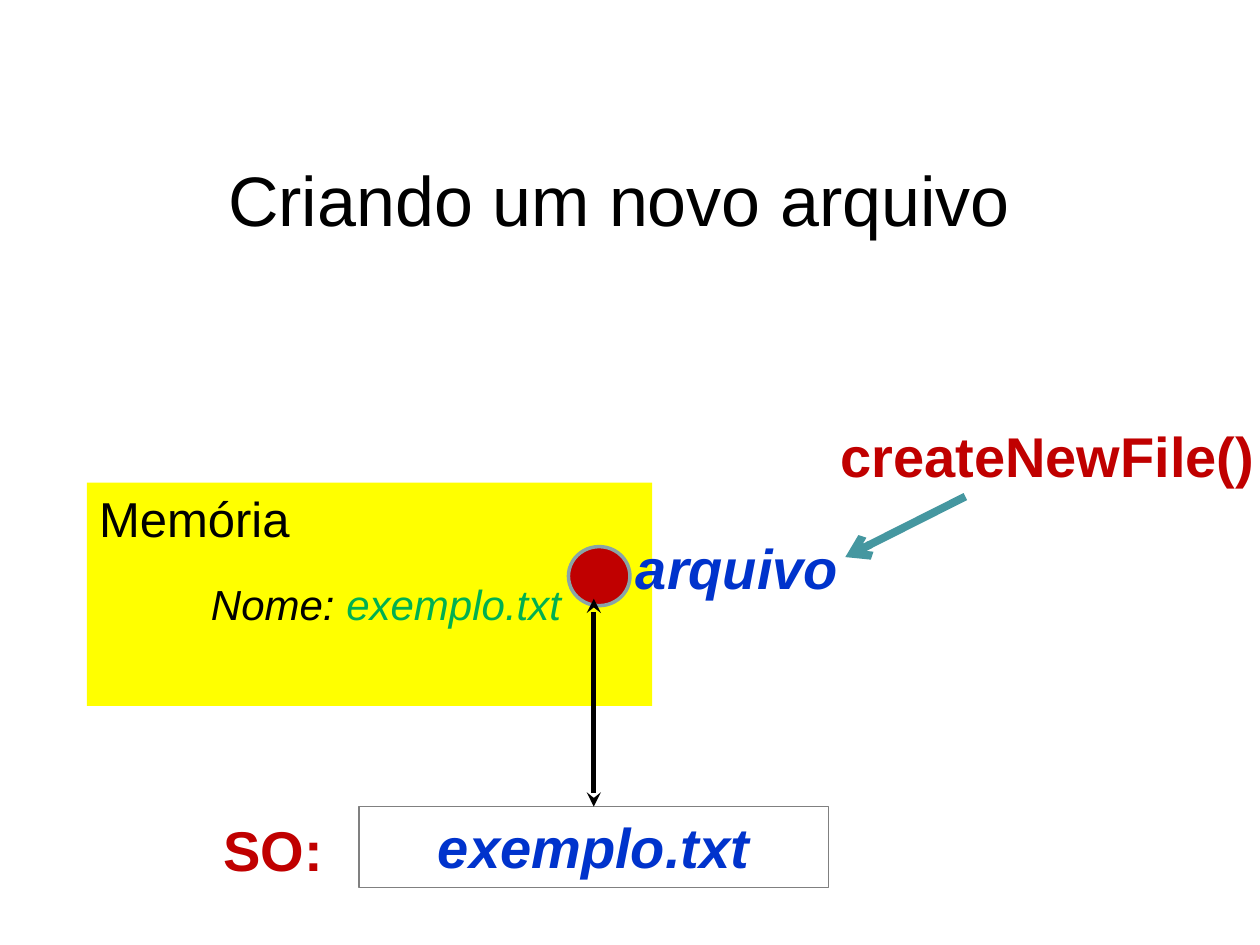
from lxml.etree import SubElement
from pptx import Presentation
from pptx.dml.color import RGBColor
from pptx.enum.shapes import MSO_CONNECTOR, MSO_SHAPE
from pptx.enum.text import MSO_ANCHOR, PP_ALIGN
from pptx.oxml.ns import qn
from pptx.util import Cm, Pt

BLACK, BLUE, RED, GREEN = "000000", "0033CC", "C00000", "00B050"


def color(value):
    """Turn a hex string into a colour."""
    return RGBColor.from_string(value)


def write(paragraph, text, size=32, fill=BLACK, bold=False, italic=False, align=PP_ALIGN.LEFT):
    """Append a formatted run to a paragraph."""
    paragraph.alignment = align
    run = paragraph.add_run()
    run.text = text
    font = run.font
    font.name, font.size, font.bold, font.italic = "Arial", Pt(size), bold, italic
    font.color.rgb = color(fill)


def clear_margins(frame):
    """Make the text start at the edges of its frame."""
    frame.margin_left = frame.margin_right = frame.margin_top = frame.margin_bottom = 0
    frame.word_wrap = True


def add_title(slide, text, left, top, width, height):
    """Place and fill the title placeholder."""
    title = slide.shapes.title
    title.left, title.top, title.width, title.height = Cm(left), Cm(top), Cm(width), Cm(height)
    frame = title.text_frame
    clear_margins(frame)
    frame.vertical_anchor = MSO_ANCHOR.MIDDLE
    write(frame.paragraphs[0], text, size=40)


def add_label(slide, left, top, width, height):
    """Add a text box and return its first paragraph."""
    box = slide.shapes.add_textbox(Cm(left), Cm(top), Cm(width), Cm(height))
    clear_margins(box.text_frame)
    return box.text_frame.paragraphs[0]


def add_figure(slide, kind, left, top, width, height, fill=None, line=None, weight=0.75):
    """Add a preset shape with its fill and outline."""
    shape = slide.shapes.add_shape(kind, Cm(left), Cm(top), Cm(width), Cm(height))
    shape.shadow.inherit = False
    shape.text_frame.vertical_anchor = MSO_ANCHOR.TOP
    if fill:
        shape.fill.solid()
        shape.fill.fore_color.rgb = color(fill)
    else:
        shape.fill.background()
    if line:
        shape.line.color.rgb = color(line)
        shape.line.width = Pt(weight)
    else:
        shape.line.fill.background()
    return shape


def add_arrow(slide, start, end, line, weight, **heads):
    """Add a straight connector with the given arrowheads."""
    arrow = slide.shapes.add_connector(MSO_CONNECTOR.STRAIGHT, *map(Cm, start + end))
    arrow.line.color.rgb = color(line)
    arrow.line.width = Pt(weight)
    outline = arrow.line._get_or_add_ln()
    for name, kind in heads.items():
        SubElement(outline, qn(f"a:{name}"), type=kind)
    SubElement(arrow._element.spPr, qn("a:effectLst"))
    return arrow


def main():
    """Build the slide about creating a new file."""
    presentation = Presentation()
    presentation.slide_width, presentation.slide_height = Cm(25.4), Cm(19.05)
    slide = presentation.slides.add_slide(presentation.slide_layouts[5])
    add_title(slide, "Criando um novo arquivo", 4.6, 3, 17, 2)

    memory = add_figure(slide, MSO_SHAPE.RECTANGLE, 1.75, 9.73, 11.4, 4.5, fill="FFFF00")
    write(memory.text_frame.paragraphs[0], "Memória", size=28)
    write(add_label(slide, 12.82, 10.75, 5, 1.37), "arquivo", fill=BLUE, bold=True, italic=True)
    name = add_label(slide, 3.31, 11.66, 8, 1.02)
    for text, fill in (("Nome: ", BLACK), ("exemplo.txt", GREEN)):
        write(name, text, size=24, fill=fill, italic=True, align=PP_ALIGN.RIGHT)

    add_figure(slide, MSO_SHAPE.OVAL, 11.46, 11.02, 1.24, 1.19, fill=RED, line="89A4A7", weight=2)
    add_arrow(slide, (19.46, 10.01), (17.04, 11.23), "4597A0", 4.5, tailEnd="arrow")
    write(add_label(slide, 16.94, 8.49, 8.46, 1.37), "createNewFile()", fill=RED, bold=True)

    file_box = add_figure(slide, MSO_SHAPE.RECTANGLE, 7.24, 16.26, 9.46, 1.63, line="808080")
    write(file_box.text_frame.paragraphs[0], "exemplo.txt", fill=BLUE, bold=True, italic=True,
          align=PP_ALIGN.CENTER)
    link = add_arrow(slide, (11.97, 16.26), (11.97, 12.07), BLACK, 2.75,
                     headEnd="stealth", tailEnd="stealth")
    link.begin_connect(file_box, 0)
    write(add_label(slide, 4.5, 16.44, 2.5, 1.37), "SO:", fill=RED, bold=True)

    presentation.save("out.pptx")


if __name__ == "__main__":
    main()
